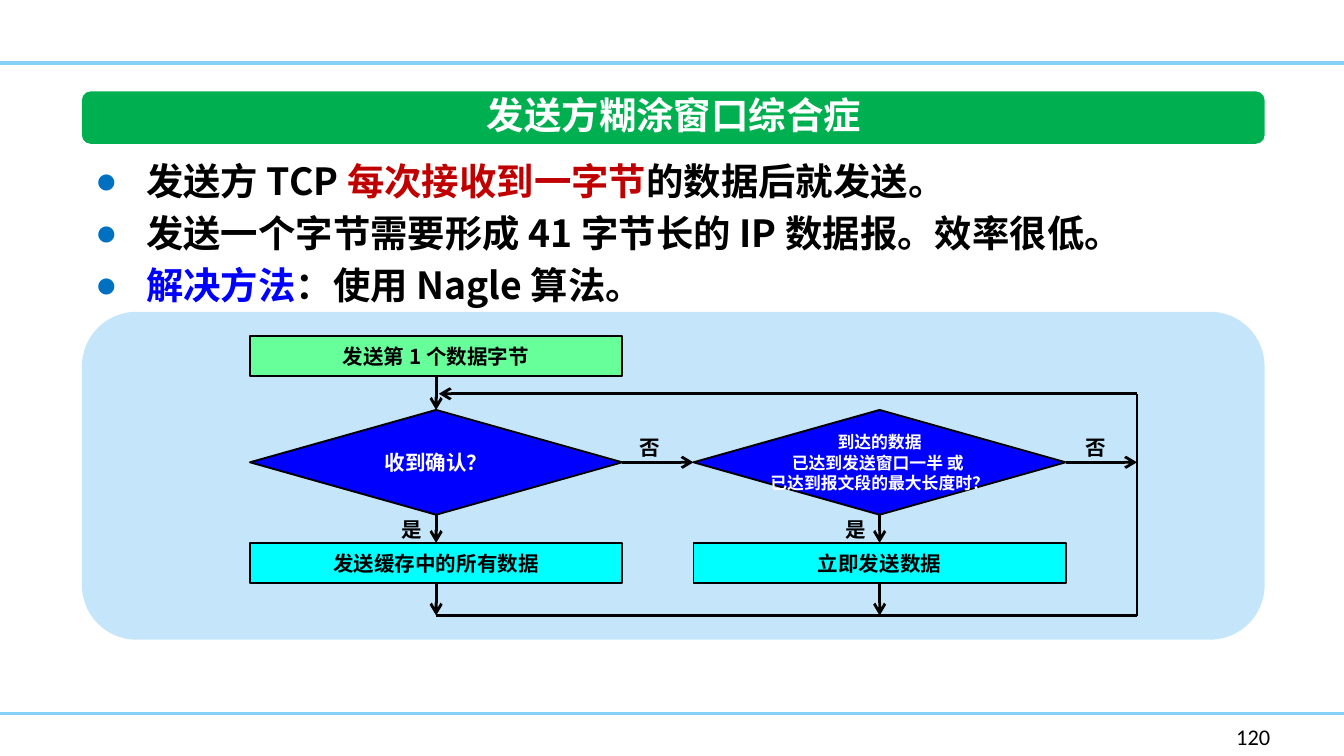
"""Build the slide on the sender-side silly window syndrome and Nagle's algorithm."""
from dataclasses import dataclass
from typing import Optional

from lxml.etree import SubElement
from pptx import Presentation
from pptx.dml.color import RGBColor
from pptx.enum.shapes import MSO_CONNECTOR, MSO_SHAPE
from pptx.enum.text import MSO_ANCHOR, PP_ALIGN
from pptx.oxml.ns import qn
from pptx.util import Inches, Pt

BLACK = RGBColor(0x00, 0x00, 0x00)
WHITE = RGBColor(0xFF, 0xFF, 0xFF)
RULE = RGBColor(0x85, 0xD1, 0xF7)
GREEN = RGBColor(0x00, 0xB0, 0x50)
PANEL = RGBColor(0xC5, 0xE5, 0xFB)
START = RGBColor(0x66, 0xFF, 0x99)
BLUE = RGBColor(0x00, 0x00, 0xFF)
CYAN = RGBColor(0x00, 0xFF, 0xFF)
RED = RGBColor(0xC0, 0x00, 0x00)
BULLET = RGBColor(0x00, 0x70, 0xC0)
CJK = "Noto Sans CJK SC"

LEFT_X, RIGHT_X, NODE_W = 1.86, 5.16, 2.77
START_Y, TEST_Y, SEND_Y = 2.5, 3.05, 4.04
BOX_H, TEST_H = 0.3, 0.78
LEFT_MID, RIGHT_MID = LEFT_X + NODE_W / 2, RIGHT_X + NODE_W / 2
TEST_MID = TEST_Y + TEST_H / 2
LOOP_X, LOOP_TOP, LOOP_BOTTOM = 8.46, 2.93, 4.58
TOP, LEFT, BOTTOM, RIGHT = range(4)


@dataclass
class Node:
    key: str
    kind: MSO_SHAPE
    x: float
    y: float
    h: float
    fill: RGBColor
    color: RGBColor
    lines: list[str]
    size: int = 11
    wrap: bool = True


@dataclass
class Line:
    start: tuple[float, float]
    end: tuple[float, float]
    begin: Optional[tuple[str, int]] = None
    finish: Optional[tuple[str, int]] = None
    arrow: bool = True


RECT, TEST = MSO_SHAPE.RECTANGLE, MSO_SHAPE.FLOWCHART_DECISION
NODES = [
    Node("start", RECT, LEFT_X, START_Y, BOX_H, START, BLACK, ["发送第 1 个数据字节"]),
    Node("ack", TEST, LEFT_X, TEST_Y, TEST_H, BLUE, WHITE, ["收到确认？"]),
    Node("flush", RECT, LEFT_X, SEND_Y, BOX_H, CYAN, BLACK, ["发送缓存中的所有数据"]),
    Node("full", TEST, RIGHT_X, TEST_Y, TEST_H, BLUE, WHITE,
         ["到达的数据", "已达到发送窗口一半 或 ", "已达到报文段的最大长度时？"], 9, False),
    Node("send", RECT, RIGHT_X, SEND_Y, BOX_H, CYAN, BLACK, ["立即发送数据"]),
]
LINES = [
    Line((LEFT_MID, START_Y + BOX_H), (LEFT_MID, TEST_Y), ("start", BOTTOM), ("ack", TOP)),
    Line((LEFT_MID, TEST_Y + TEST_H), (LEFT_MID, SEND_Y), ("ack", BOTTOM), ("flush", TOP)),
    Line((LEFT_X + NODE_W, TEST_MID), (RIGHT_X, TEST_MID), ("ack", RIGHT), ("full", LEFT)),
    Line((RIGHT_MID, TEST_Y + TEST_H), (RIGHT_MID, SEND_Y), ("full", BOTTOM), ("send", TOP)),
    Line((LEFT_MID, SEND_Y + BOX_H), (LEFT_MID, LOOP_BOTTOM), ("flush", BOTTOM)),
    Line((RIGHT_MID, SEND_Y + BOX_H), (RIGHT_MID, LOOP_BOTTOM), ("send", BOTTOM)),
    Line((LEFT_MID, LOOP_BOTTOM), (LOOP_X, LOOP_BOTTOM), arrow=False),
    Line((LOOP_X, LOOP_TOP), (LEFT_MID + 0.02, LOOP_TOP)),
    Line((LOOP_X, LOOP_TOP), (LOOP_X, LOOP_BOTTOM), arrow=False),
    Line((RIGHT_X + NODE_W, TEST_MID), (LOOP_X, TEST_MID), ("full", RIGHT)),
]
BRANCHES = [("是", 2.86, 3.8), ("是", 6.16, 3.8), ("否", 4.63, 3.19), ("否", 7.95, 3.19)]
POINTS = [
    [("发送方 TCP ", BLACK), ("每次接收到一字节", RED), ("的数据后就发送。", BLACK)],
    [("发送一个字节需要形成 41 字节长的 IP 数据报。效率很低。", BLACK)],
    [("解决方法", BLUE), ("：使用 Nagle 算法。", BLACK)],
]


def add_run(p, text: str, size: int, color: RGBColor, name: str = CJK, bold: bool = True) -> None:
    r = p.add_run()
    r.text = text
    for key, value in {"size": Pt(size), "bold": bold, "name": name}.items():
        setattr(r.font, key, value)
    r.font.color.rgb = color
    SubElement(r.font._element, qn("a:ea"), typeface=name)


def fill_lines(tf, lines: list[str], size: int, color: RGBColor) -> None:
    for i, text in enumerate(lines):
        p = tf.add_paragraph() if i else tf.paragraphs[0]
        p.alignment = PP_ALIGN.CENTER
        add_run(p, text, size, color)


def add_box(s, kind: MSO_SHAPE, x: float, y: float, w: float, h: float, fill: RGBColor):
    sp = s.shapes.add_shape(kind, Inches(x), Inches(y), Inches(w), Inches(h))
    sp.shadow.inherit = False
    sp.fill.solid()
    sp.fill.fore_color.rgb = fill
    sp.line.fill.background()
    return sp


def add_node(s, node: Node):
    sp = add_box(s, node.kind, node.x, node.y, NODE_W, node.h, node.fill)
    sp.line.color.rgb = BLACK
    sp.line.width = Pt(1)
    tf = sp.text_frame
    for key, value in {"word_wrap": node.wrap, "vertical_anchor": MSO_ANCHOR.MIDDLE}.items():
        setattr(tf, key, value)
    fill_lines(tf, node.lines, node.size, node.color)
    return sp


def add_text(s, x: float, y: float, w: float, h: float, wrap: bool = True):
    tf = s.shapes.add_textbox(Inches(x), Inches(y), Inches(w), Inches(h)).text_frame
    tf.word_wrap = wrap
    return tf


def add_line(s, line: Line, nodes: dict, color: RGBColor = BLACK, width: float = 1.5) -> None:
    ends = [Inches(v) for v in (*line.start, *line.end)]
    sp = s.shapes.add_connector(MSO_CONNECTOR.STRAIGHT, *ends)
    sp.line.color.rgb = color
    sp.line.width = Pt(width)
    if line.arrow:
        SubElement(sp.line._get_or_add_ln(), qn("a:tailEnd"), type="arrow")
    SubElement(sp._element.spPr, qn("a:effectLst"))
    for connect, joint in ((sp.begin_connect, line.begin), (sp.end_connect, line.finish)):
        if joint:
            connect(nodes[joint[0]], joint[1])


def add_points(s) -> None:
    tf = add_text(s, 0.61, 1.07, 8.8, 1.25)
    for i, runs in enumerate(POINTS):
        p = tf.add_paragraph() if i else tf.paragraphs[0]
        p.line_spacing = Pt(28)
        pPr = p._p.get_or_add_pPr()
        for key, value in {"marL": Inches(0.38), "indent": -Inches(0.38)}.items():
            pPr.set(key, str(value))
        SubElement(SubElement(pPr, qn("a:buClr")), qn("a:srgbClr"), val=str(BULLET))
        SubElement(pPr, qn("a:buFont"), typeface="Arial")
        SubElement(pPr, qn("a:buChar"), char="●")
        for text, color in runs:
            add_run(p, text, 20, color)


def main() -> None:
    prs = Presentation()
    prs.slide_width = Inches(10)
    prs.slide_height = Inches(10 * 9 / 16)
    s = prs.slides.add_slide(prs.slide_layouts[6])
    for y in (0.47, 5.31):
        add_line(s, Line((0, y), (10, y), arrow=False), {}, RULE, 2)
    add_box(s, MSO_SHAPE.ROUNDED_RECTANGLE, 0.61, 0.68, 8.8, 0.39, GREEN)
    fill_lines(add_text(s, 3.51, 0.64, 3.01, 0.44, False), ["发送方糊涂窗口综合症"], 20, WHITE)
    add_points(s)
    add_box(s, MSO_SHAPE.ROUNDED_RECTANGLE, 0.61, 2.32, 8.8, 2.44, PANEL)
    nodes = {node.key: add_node(s, node) for node in NODES}
    for line in LINES:
        add_line(s, line, nodes)
    for text, x, y in BRANCHES:
        fill_lines(add_text(s, x, y, 0.41, 0.29), [text], 11, BLACK)
    tf = add_text(s, 9.1, 5.33, 0.76, 0.3)
    tf.vertical_anchor = MSO_ANCHOR.MIDDLE
    add_run(tf.paragraphs[0], "120", 12, BLACK, "Calibri", False)
    prs.save("out.pptx")


if __name__ == "__main__":
    main()
